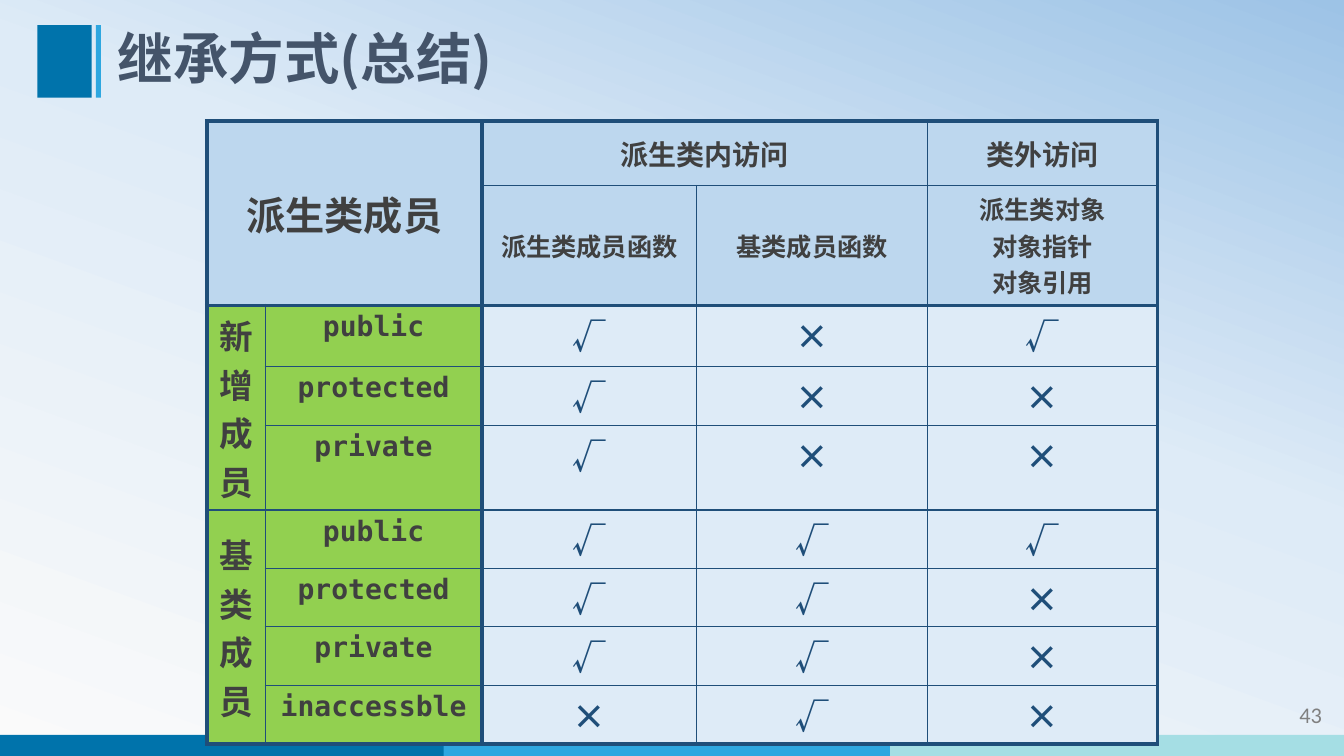
from copy import deepcopy
from lxml.etree import SubElement
from pptx import Presentation
from pptx.dml.color import RGBColor as RGB
from pptx.enum.shapes import MSO_SHAPE as SHAPE
from pptx.enum.text import MSO_ANCHOR as ANCHOR, PP_ALIGN as ALIGN
from pptx.oxml import parse_xml
from pptx.oxml.ns import nsdecls, qn
from pptx.util import Inches, Pt

# Content
TITLE, PAGE = "继承方式(总结)", "43"
YES, NO = "√", "×"
HEADS = {
    (0, 0): ("派生类成员", 28),
    (0, 2): ("派生类内访问", 20),
    (0, 4): ("类外访问", 20),
    (1, 2): ("派生类成员函数", 18),
    (1, 3): ("基类成员函数", 18),
    (1, 4): ("派生类对象\v对象指针\v对象引用", 18),
}
GROUPS = [
    ("新增成员", [
        ("public", YES, NO, YES),
        ("protected", YES, NO, NO),
        ("private", YES, NO, NO)]),
    ("基类成员", [
        ("public", YES, YES, YES),
        ("protected", YES, YES, NO),
        ("private", YES, YES, NO),
        ("inaccessble", NO, YES, NO)]),
]

# Format
WIDE, HIGH = 13.33, 7.5
COLS = [0.58, 2.15, 2.13, 2.29, 2.28]
ROWS = [0.64, 1.19, 0.61, 0.58, 0.84] + [0.58] * 4
THICK_X, THICK_Y = (0, 2, 5), (0, 2, 9)
SANS, MONO, PLAIN = "Noto Sans CJK SC", "DejaVu Sans Mono", "Calibri"
BLUE, SKY, AQUA = (RGB.from_string(c) for c in ("0073AB", "2EA7E0", "A5DEE4"))
NAVY, SLATE = RGB(0x1F, 0x4E, 0x79), RGB(0x44, 0x54, 0x6A)
DARK, GREY = RGB(0x40, 0x40, 0x40), RGB(0x80, 0x80, 0x80)
HEAD, GREEN, PALE = (RGB.from_string(c) for c in ("BDD7EE", "92D050", "DEEBF7"))
STOPS = [(0, RGB(0xFA, 0xFA, 0xFA)), (0.58, PALE), (1, RGB(0x9D, 0xC3, 0xE6))]
LOOKS = {
    "title": dict(name=SANS, size=Pt(39.6), bold=True),
    "page": dict(name=PLAIN, size=Pt(16), bold=False),
    "head": dict(name=SANS, bold=True),
    "group": dict(name=SANS, size=Pt(24), bold=True),
    "access": dict(name=MONO, size=Pt(20), bold=True),
    "mark": dict(name=SANS, size=Pt(24), bold=True),
}


def write(frame, text, look, color, align=ALIGN.CENTER, **more):
    """Put styled text in the first paragraph of a frame."""
    para = frame.paragraphs[0]
    para.text, para.alignment = text, align
    for run in para.runs:
        for key, val in {**LOOKS[look], **more}.items():
            setattr(run.font, key, val)
        run.font.color.rgb = color
        face = SubElement(run.font._element, qn("a:ea"))
        face.set("typeface", run.font.name)
    return para


def paint(slide):
    """Fill the background with the slanted gradient."""
    fill = slide.background.fill
    fill.gradient()
    fill.gradient_angle = 70
    stops = slide.element.find(".//" + qn("a:gsLst"))
    stops.append(deepcopy(stops[0]))
    for stop, (pos, color) in zip(fill.gradient_stops, STOPS):
        stop.position, stop.color.rgb = pos, color


def bar(slide, x, y, w, h, color):
    """Draw a plain colour block."""
    shape = slide.shapes.add_shape(SHAPE.RECTANGLE, *map(Inches, (x, y, w, h)))
    shape.shadow.inherit = False
    shape.fill.solid()
    shape.fill.fore_color.rgb = color
    shape.line.fill.background()


def label(slide, box, anchor, *args):
    """Add a wrapped text box and return its paragraph."""
    frame = slide.shapes.add_textbox(*map(Inches, box)).text_frame
    frame.word_wrap, frame.vertical_anchor = True, anchor
    return write(frame, *args)


def put(grid, row, col, text, look, color, fill, anchor, **more):
    """Fill and write one table cell."""
    cell = grid.cell(row, col)
    cell.fill.solid()
    cell.fill.fore_color.rgb = fill
    cell.vertical_anchor = anchor
    write(cell.text_frame, text, look, color, **more)


def edge(cell, sides):
    """Set cell borders, given in L, R, T, B order."""
    props = cell._tc.get_or_add_tcPr()
    for i, (side, thick) in enumerate(sides):
        props.insert(i, parse_xml(
            f'<a:ln{side} {nsdecls("a")} w="{Pt(3 if thick else 1)}">'
            f'<a:solidFill><a:srgbClr val="{NAVY}"/></a:solidFill></a:ln{side}>'))


def rule(grid):
    """Border each cell block, thick on the main grid lines."""
    for r in range(len(ROWS)):
        for c in range(len(COLS)):
            top = grid.cell(r, c)
            if top.is_spanned:
                continue
            h, w = (top.span_height, top.span_width) if top.is_merge_origin else (1, 1)
            for y in range(r, r + h):
                for x in range(c, c + w):
                    first = (y, x) == (r, c)
                    sides = [("L", c in THICK_X, x == c),
                             ("R", c + w in THICK_X, x == c + w - 1),
                             ("T", r in THICK_Y, y == r),
                             ("B", r + h in THICK_Y, y == r + h - 1)]
                    edge(grid.cell(y, x),
                         [(s, t) for s, t, rim in sides if rim or first])


def chart(slide):
    """Build the access table."""
    box = map(Inches, (2.05, 1.2, sum(COLS), sum(ROWS)))
    grid = slide.shapes.add_table(len(ROWS), len(COLS), *box).table
    grid.first_row = grid.horz_banding = False
    for col, w in zip(grid.columns, COLS):
        col.width = Inches(w)
    for row, h in zip(grid.rows, ROWS):
        row.height = Inches(h)
    grid.cell(0, 0).merge(grid.cell(1, 1))
    grid.cell(0, 2).merge(grid.cell(0, 3))
    for (r, c), (text, size) in HEADS.items():
        put(grid, r, c, text, "head", DARK, HEAD, ANCHOR.MIDDLE, size=Pt(size))
    r = 2
    for name, lines in GROUPS:
        grid.cell(r, 0).merge(grid.cell(r + len(lines) - 1, 0))
        put(grid, r, 0, name, "group", DARK, GREEN, ANCHOR.MIDDLE)
        for access, *marks in lines:
            put(grid, r, 1, access, "access", DARK, GREEN, ANCHOR.TOP)
            for c, mark in enumerate(marks, 2):
                put(grid, r, c, mark, "mark", NAVY, PALE, ANCHOR.TOP)
            r += 1
    rule(grid)


deck = Presentation()
deck.slide_width, deck.slide_height = Inches(WIDE), Inches(HIGH)
slide = deck.slides.add_slide(deck.slide_layouts[6])
paint(slide)
for i, color in enumerate((BLUE, SKY, AQUA)):
    bar(slide, -0.03 + 4.43 * i, HIGH - 0.21, 4.5, 0.21, color)
bar(slide, 0.37, 0.25, 0.54, 0.72, BLUE)
bar(slide, 0.95, 0.25, 0.05, 0.72, SKY)
label(slide, (11.62, 6.91, 1.59, 0.4), ANCHOR.TOP, PAGE, "page", GREY, ALIGN.RIGHT)
title = label(slide, (1.07, 0.25, 10.86, 0.72), ANCHOR.MIDDLE,
              TITLE, "title", SLATE, ALIGN.LEFT)
title.line_spacing = 0.9
chart(slide)
deck.save("out.pptx")
